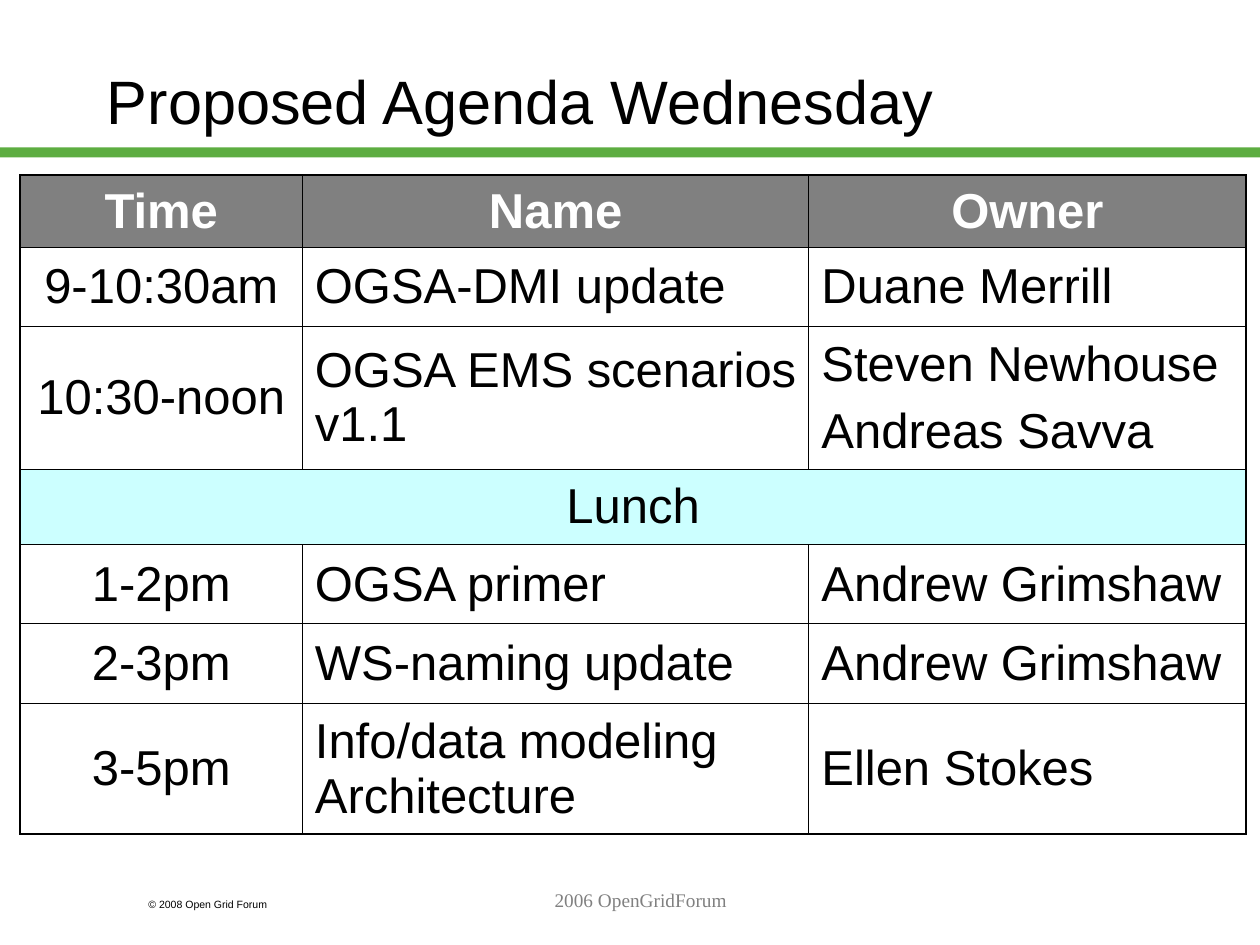
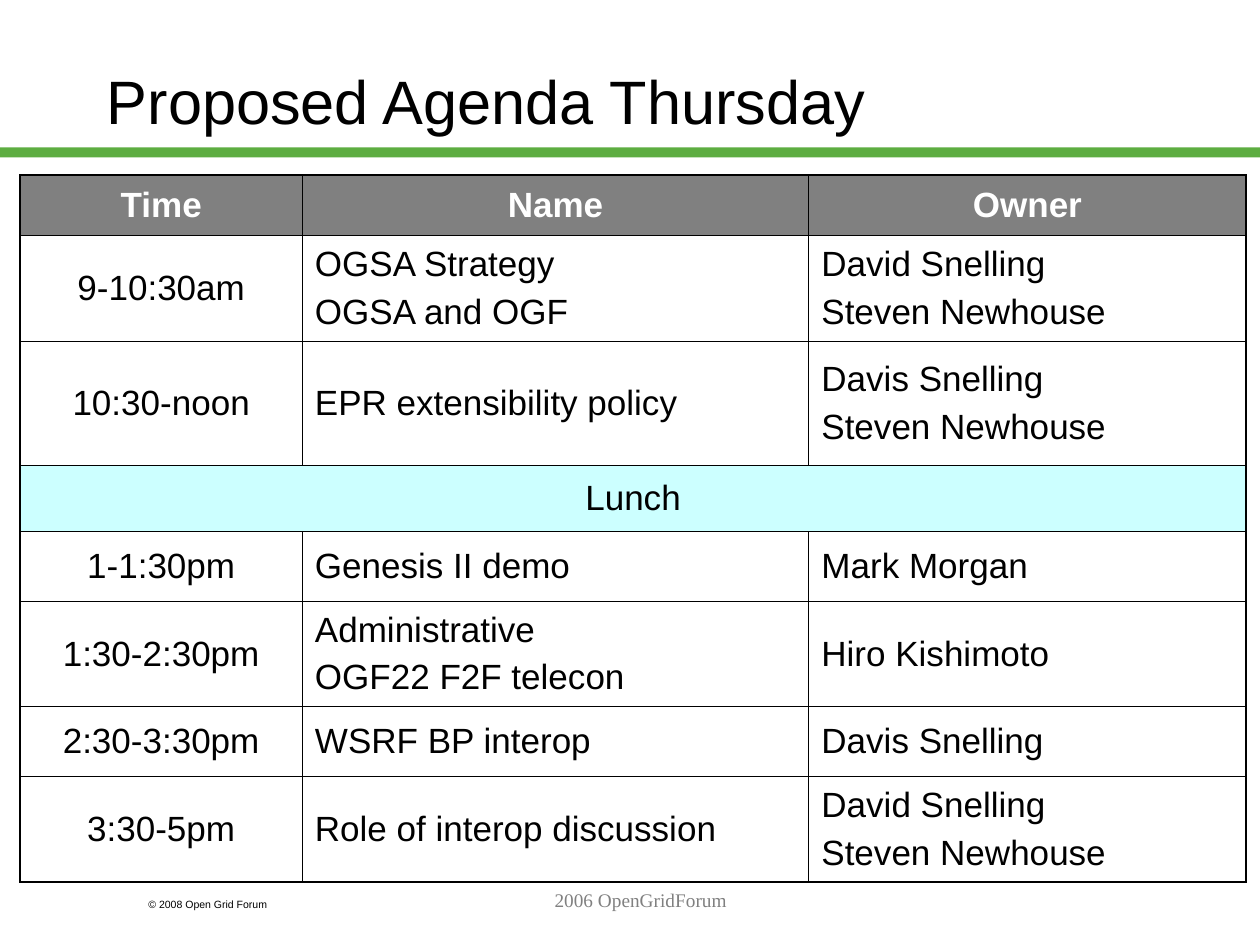
from dataclasses import dataclass
from typing import NamedTuple

from pptx import Presentation
from pptx.dml.color import RGBColor
from pptx.enum.shapes import MSO_SHAPE
from pptx.enum.text import MSO_ANCHOR, PP_ALIGN
from pptx.oxml.ns import qn
from pptx.slide import Slide
from pptx.table import _Cell
from pptx.text.text import TextFrame
from pptx.util import Emu, Inches, Pt
from lxml import etree

RECTANGLE = MSO_SHAPE.RECTANGLE
LEFT, CENTER = PP_ALIGN.LEFT, PP_ALIGN.CENTER
TOP, MIDDLE = MSO_ANCHOR.TOP, MSO_ANCHOR.MIDDLE

SLIDE_WIDTH, SLIDE_HEIGHT = Inches(10), Inches(7.5)
GRID_COLUMNS = 100
GRID_UNIT = SLIDE_WIDTH // GRID_COLUMNS


@dataclass(frozen=True)
class TextStyle:
    size: float
    color: str = "000000"
    font: str = "Arial"
    bold: bool = False
    align: PP_ALIGN = LEFT
    anchor: MSO_ANCHOR = TOP
    paragraph_gap: float = 0


@dataclass(frozen=True)
class Theme:
    band: str = "5DAD41"
    header_fill: str = "808080"
    header_text: str = "FFFFFF"
    break_fill: str = "CCFFFF"
    rule: str = "000000"
    outer_rule: float = 1.08
    inner_rule: float = 0.45
    gap_per_size: float = 0.25
    title: TextStyle = TextStyle(35, anchor=MIDDLE)
    copyright: TextStyle = TextStyle(6)
    footer: TextStyle = TextStyle(11, "808080", "Times New Roman", align=CENTER)


class Area(NamedTuple):
    column: float
    row: float
    columns: float
    rows: float

    def emu(self) -> list[Emu]:
        return [units(length) for length in self]


class Session(NamedTuple):
    rows: float
    time: str
    name: str = ""
    owner: str = ""

    @property
    def is_break(self) -> bool:
        return not self.name


class Agenda(NamedTuple):
    title: str
    text_size: float
    header_rows: float
    sessions: list[Session]


THEME = Theme()
BAND = Area(0, 11.7, 100, 0.8)
TITLE = Area(7.5, 1.7, 85, 12.5)
COPYRIGHT = Area(10.8, 70.8, 15, 2)
FOOTER = Area(21.7, 70, 58.3, 5)
TABLE_COLUMN, TABLE_ROW = 1.6, 13.9
COLUMN_WIDTHS = (22.4, 40.2, 34.7)

AGENDAS = [
    Agenda("Proposed Agenda Wednesday", 28, 5.7, [
        Session(6.3, "9-10:30am", "OGSA-DMI update", "Duane Merrill"),
        Session(11.3, "10:30-noon", "OGSA EMS scenarios v1.1", "Steven Newhouse\nAndreas Savva"),
        Session(6, "Lunch"),
        Session(6.3, "1-2pm", "OGSA primer", "Andrew Grimshaw"),
        Session(6.3, "2-3pm", "WS-naming update", "Andrew Grimshaw"),
        Session(10.4, "3-5pm", "Info/data modeling Architecture", "Ellen Stokes"),
    ]),
    Agenda("Proposed Agenda Thursday", 20, 4.8, [
        Session(8.4, "9-10:30am", "OGSA Strategy\nOGSA and OGF", "David Snelling\nSteven Newhouse"),
        Session(9.8, "10:30-noon", "EPR extensibility policy", "Davis Snelling\nSteven Newhouse"),
        Session(5.3, "Lunch"),
        Session(5.5, "1-1:30pm", "Genesis II demo", "Mark Morgan"),
        Session(8.4, "1:30-2:30pm", "Administrative\nOGF22 F2F telecon", "Hiro Kishimoto"),
        Session(5.5, "2:30-3:30pm", "WSRF BP interop", "Davis Snelling"),
        Session(8.4, "3:30-5pm", "Role of interop discussion", "David Snelling\nSteven Newhouse"),
    ]),
]


def units(length: float) -> Emu:
    return Emu(round(length * GRID_UNIT))


def write(frame: TextFrame, text: str, style: TextStyle) -> None:
    frame.text = text
    for index, paragraph in enumerate(frame.paragraphs):
        paragraph.alignment = style.align
        paragraph.space_before = Pt(style.paragraph_gap if index else 0)
        for run in paragraph.runs:
            run.font.name = style.font
            run.font.size = Pt(style.size)
            run.font.bold = style.bold
            run.font.color.rgb = RGBColor.from_string(style.color)


def add_text(slide: Slide, area: Area, text: str, style: TextStyle) -> None:
    frame = slide.shapes.add_textbox(*area.emu()).text_frame
    frame.word_wrap = True
    frame.vertical_anchor = style.anchor
    write(frame, text, style)


def add_band(slide: Slide) -> None:
    band = slide.shapes.add_shape(RECTANGLE, *BAND.emu())
    band.shadow.inherit = False
    band.fill.solid()
    band.fill.fore_color.rgb = RGBColor.from_string(THEME.band)
    band.line.fill.background()


def rule_cell(cell: _Cell, outer_edges: dict[str, bool]) -> None:
    properties = cell._tc.get_or_add_tcPr()
    for edge, is_outer in outer_edges.items():
        width = Pt(THEME.outer_rule if is_outer else THEME.inner_rule)
        line = etree.SubElement(properties, qn(f"a:ln{edge}"), w=str(width))
        fill = etree.SubElement(line, qn("a:solidFill"))
        etree.SubElement(fill, qn("a:srgbClr"), val=THEME.rule)


def fill_cell(cell: _Cell, color: str | None) -> None:
    if color:
        cell.fill.solid()
        cell.fill.fore_color.rgb = RGBColor.from_string(color)
    else:
        cell.fill.background()


def add_agenda_table(slide: Slide, agenda: Agenda) -> None:
    entries = [Session(agenda.header_rows, "Time", "Name", "Owner"), *agenda.sessions]
    area = Area(TABLE_COLUMN, TABLE_ROW, sum(COLUMN_WIDTHS), sum(entry.rows for entry in entries))
    table = slide.shapes.add_table(len(entries), len(COLUMN_WIDTHS), *area.emu()).table
    table.first_row = table.horz_banding = False
    for column, width in zip(table.columns, COLUMN_WIDTHS):
        column.width = units(width)

    last_row, last_column = len(entries) - 1, len(COLUMN_WIDTHS) - 1
    for row, entry in enumerate(entries):
        table.rows[row].height = units(entry.rows)
        is_header = row == 0
        fill = THEME.header_fill if is_header else THEME.break_fill if entry.is_break else None
        for column, text in enumerate((entry.time, entry.name, entry.owner)):
            cell = table.cell(row, column)
            rule_cell(cell, {
                "L": column == 0 or entry.is_break,
                "R": column == last_column or entry.is_break,
                "T": is_header,
                "B": row == last_row,
            })
            fill_cell(cell, fill)
            cell.vertical_anchor = MIDDLE
            write(cell.text_frame, text, TextStyle(
                agenda.text_size,
                color=THEME.header_text if is_header else THEME.rule,
                bold=is_header,
                align=CENTER if is_header or column == 0 else LEFT,
                paragraph_gap=agenda.text_size * THEME.gap_per_size,
            ))
        if entry.is_break:
            table.cell(row, 0).merge(table.cell(row, last_column))


def main() -> None:
    deck = Presentation()
    deck.slide_width, deck.slide_height = SLIDE_WIDTH, SLIDE_HEIGHT
    blank = deck.slide_layouts[6]
    for agenda in AGENDAS:
        slide = deck.slides.add_slide(blank)
        add_band(slide)
        add_text(slide, COPYRIGHT, "© 2008 Open Grid Forum", THEME.copyright)
        add_text(slide, TITLE, agenda.title, THEME.title)
        add_agenda_table(slide, agenda)
        add_text(slide, FOOTER, "2006 OpenGridForum", THEME.footer)
    deck.save("out.pptx")


if __name__ == "__main__":
    main()
